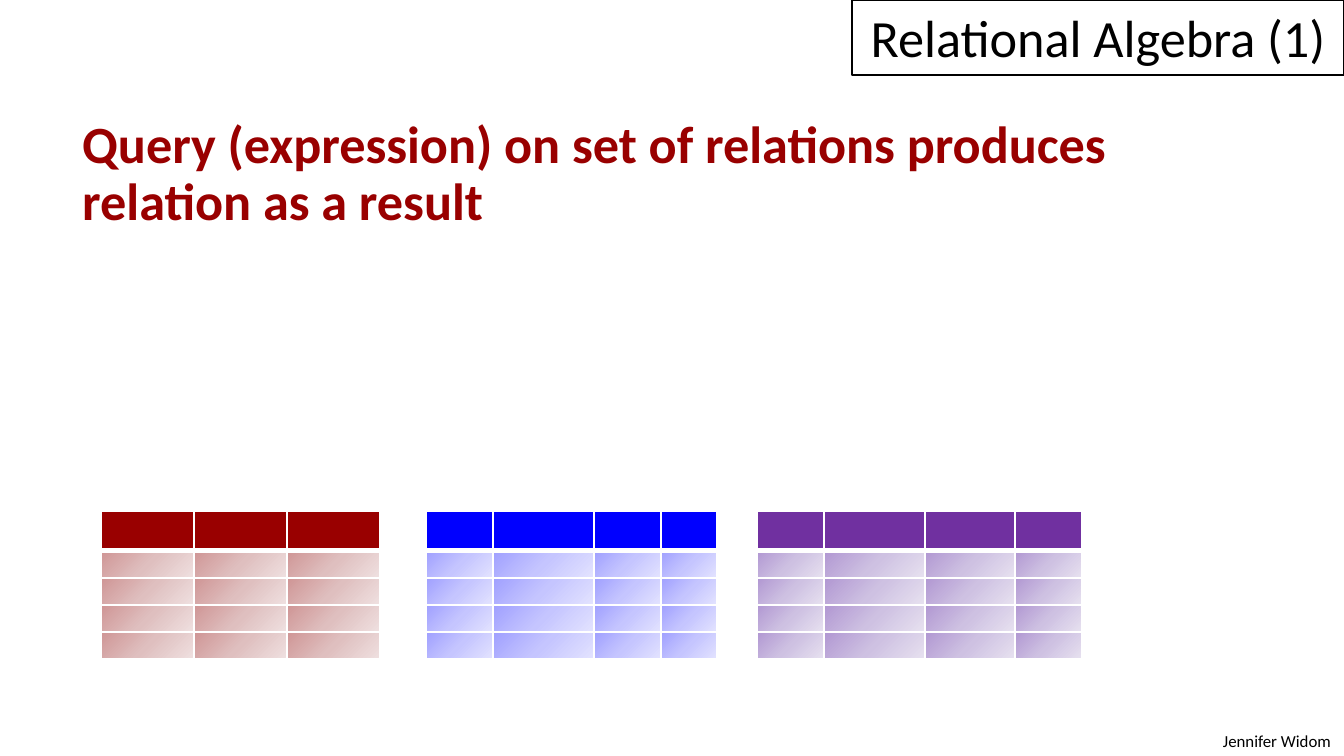
import pptx
import pptx.util
import pptx.dml.color
import pptx.enum.shapes
import pptx.enum.text
import pptx.oxml
import pptx.oxml.ns

RGB = pptx.dml.color.RGBColor
ALIGN = pptx.enum.text.PP_ALIGN
ANCHOR = pptx.enum.text.MSO_ANCHOR
BLACK = RGB(0, 0, 0)
WHITE = RGB(255, 255, 255)
RED = RGB(0x99, 0, 0)
BLUE = RGB(0, 0, 255)
PURPLE = RGB(0x70, 0x30, 0xA0)
REDS = RGB(0xCF, 0x95, 0x95), RGB(0xDF, 0xBF, 0xBF), RGB(0xEF, 0xE0, 0xE0)
BLUES = RGB(0xA0, 0xA0, 255), RGB(0xC5, 0xC5, 255), RGB(0xE3, 0xE3, 255)
PURPLES = RGB(0xB1, 0x97, 0xD2), RGB(0xCE, 0xC1, 0xE2), RGB(0xE7, 0xE1, 0xF0)

TABLES = [
    (101, [93, 93, 93], RED, REDS),
    (426, [67, 101, 67, 56], BLUE, BLUES),
    (757, [67, 101, 90, 67], PURPLE, PURPLES),
]
ROWS = [40, 27, 27, 27, 27]


def px(n):
    return pptx.util.Emu(round(n * 914400 / 134.4))


def box(*place):
    return [px(n) for n in place]


def parse(tag, attrs, inner):
    ns = pptx.oxml.ns.nsdecls("a")
    return pptx.oxml.parse_xml(f"<a:{tag} {ns} {attrs}>{inner}</a:{tag}>")


def solid(color):
    return f'<a:solidFill><a:srgbClr val="{color}"/></a:solidFill>'


def write(frame, lines, size, color, align, bold=False):
    frame.word_wrap = True
    frame.text = "\n".join(lines)
    for para in frame.paragraphs:
        para.alignment = align
        for run in para.runs:
            run.font.name = "Calibri"
            run.font.size = pptx.util.Pt(size)
            run.font.bold = bold
            run.font.color.rgb = color


def add_credit(slide):
    frame = slide.shapes.add_textbox(*box(1199, 724, 145, 34)).text_frame
    write(frame, ["Jennifer Widom"], 9, BLACK, ALIGN.RIGHT)


def add_title(slide):
    shape = slide.shapes.add_shape(
        pptx.enum.shapes.MSO_SHAPE.RECTANGLE, *box(852, 0, 492, 75))
    shape.shadow.inherit = False
    shape.fill.background()
    shape.line.color.rgb = BLACK
    shape.line.width = pptx.util.Pt(0.75)
    shape.text_frame.vertical_anchor = ANCHOR.BOTTOM
    write(shape.text_frame, ["Relational Algebra (1)"], 28, BLACK, ALIGN.CENTER)


def add_claim(slide):
    frame = slide.shapes.add_textbox(*box(56, 112, 1220, 524)).text_frame
    lines = ["Query (expression) on set of relations produces",
             "relation as a result"]
    write(frame, lines, 28, RED, ALIGN.LEFT, True)
    for para in frame.paragraphs:
        para.line_spacing = 0.9
        props = para._p.get_or_add_pPr()
        props.set("marL", str(px(40)))
        props.set("indent", str(px(-27)))


def edge(cell, top, base):
    props = cell._tc.get_or_add_tcPr()
    sides = [("lnL", 1), ("lnR", 1), ("lnT", top), ("lnB", base)]
    for i, (tag, width) in enumerate(sides):
        size = pptx.util.Pt(width)
        props.insert(i, parse(tag, f'w="{size}"', solid(WHITE)))


def blend(cell, tints):
    stops = "".join(
        f'<a:gs pos="{i * 50000}"><a:srgbClr val="{tint}"/></a:gs>'
        for i, tint in enumerate(tints))
    inner = f'<a:gsLst>{stops}</a:gsLst><a:lin ang="2700000" scaled="0"/>'
    cell._tc.get_or_add_tcPr().append(parse("gradFill", "", inner))


def shrink(cell):
    cell.margin_top = cell.margin_bottom = 0
    para = cell.text_frame.paragraphs[0]
    para._p.append(parse("endParaRPr", 'sz="800"', ""))


def add_grid(slide, left, widths, head, tints):
    place = box(left, 511, sum(widths), sum(ROWS))
    table = slide.shapes.add_table(len(ROWS), len(widths), *place).table
    table.horz_banding = False
    for col, width in zip(table.columns, widths):
        col.width = px(width)
    for i, (row, height) in enumerate(zip(table.rows, ROWS)):
        row.height = px(height)
        for cell in row.cells:
            shrink(cell)
            if i == 0:
                cell.fill.solid()
                cell.fill.fore_color.rgb = head
            else:
                blend(cell, tints)
            edge(cell, 3 if i == 1 else 1, 3 if i == 0 else 1)


def main():
    deck = pptx.Presentation()
    deck.slide_width, deck.slide_height = box(1344, 756)
    slide = deck.slides.add_slide(deck.slide_layouts[6])
    add_credit(slide)
    add_title(slide)
    add_claim(slide)
    for grid in TABLES:
        add_grid(slide, *grid)
    deck.save("out.pptx")


if __name__ == "__main__":
    main()
